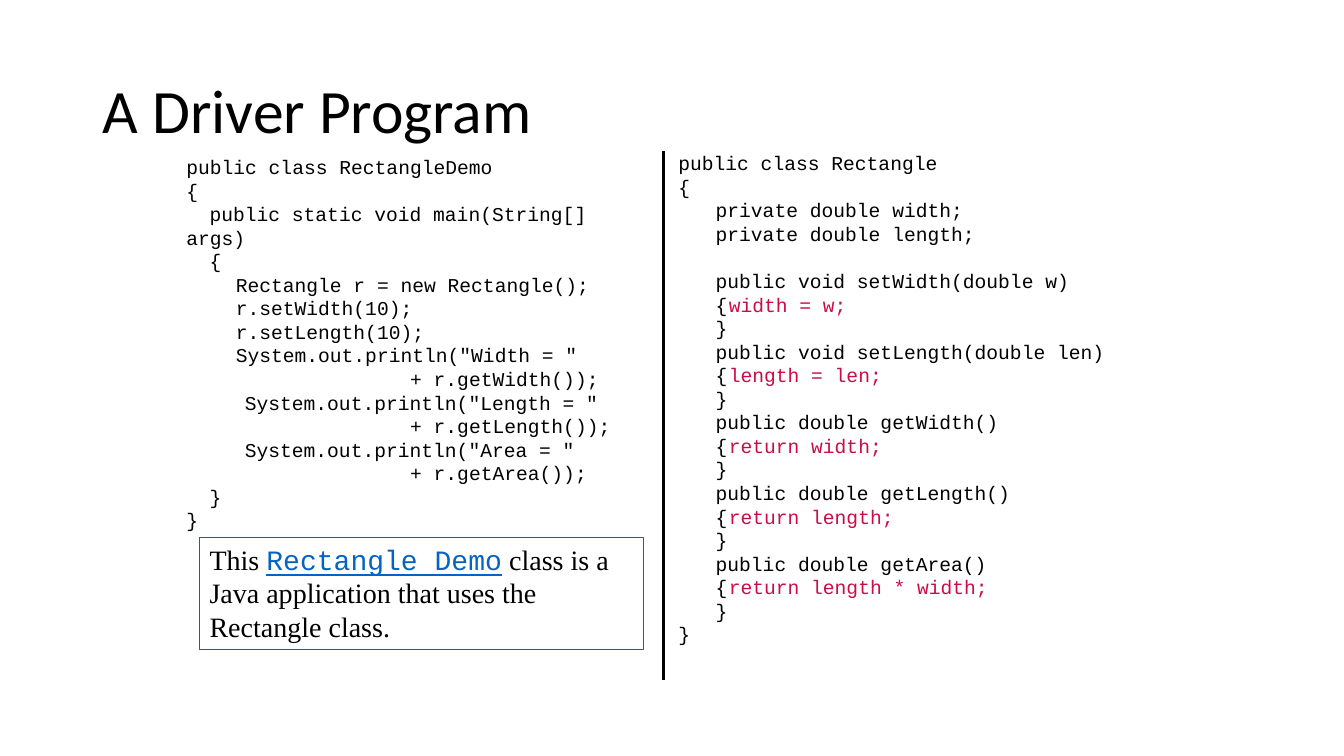
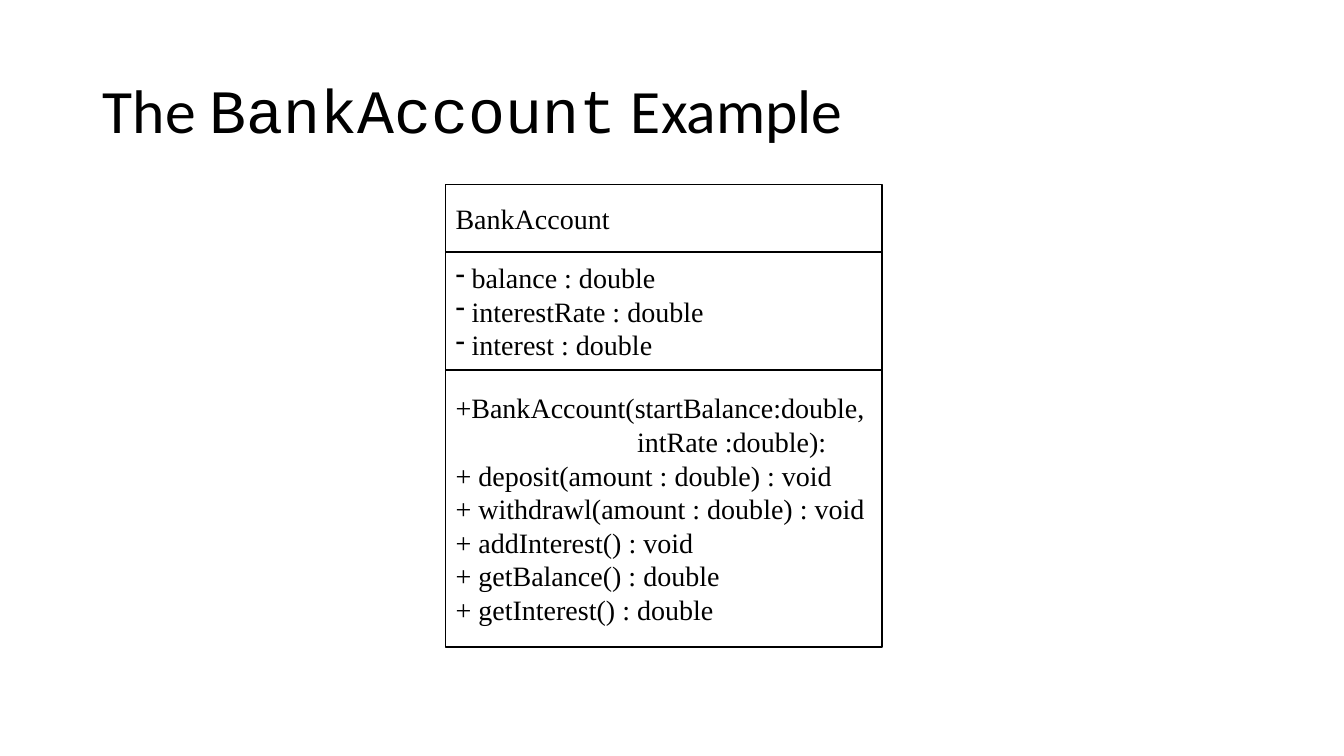
"""Builds two slides on Java classes: a driver program and a UML class diagram."""
from lxml import etree
from pptx import Presentation
from pptx.dml.color import RGBColor
from pptx.enum.shapes import MSO_CONNECTOR, MSO_SHAPE
from pptx.enum.text import MSO_ANCHOR, MSO_AUTO_SIZE, PP_ALIGN
from pptx.oxml.ns import qn
from pptx.util import Inches, Pt

RECTANGLE, STRAIGHT = MSO_SHAPE.RECTANGLE, MSO_CONNECTOR.STRAIGHT
MIDDLE, TOP, LEFT = MSO_ANCHOR.MIDDLE, MSO_ANCHOR.TOP, PP_ALIGN.LEFT
FIXED, GROW = MSO_AUTO_SIZE.NONE, MSO_AUTO_SIZE.SHAPE_TO_FIT_TEXT

SANS, MONO, SERIF = "Calibri", "Courier New", "Times New Roman"
BLACK, WHITE, SLATE = "000000", "FFFFFF", "44546A"
CRIMSON, LINK_BLUE = "CA0C48", "0563C1"
TITLE_SIZE, CODE_SIZE, BODY_SIZE = 44, 14, 20

DRIVER_TITLE = [("A Driver Program", SANS)]
ACCOUNT_TITLE = [("The ", SANS), ("BankAccount", MONO), (" Example", SANS)]

DEMO_CODE = [
    (0, "public class RectangleDemo"),
    (0, "{"),
    (0.23, "public static void main(String[] args)"),
    (0.23, "{"),
    (0.49, "Rectangle r = new Rectangle();"),
    (0.49, "r.setWidth(10);"),
    (0.49, "r.setLength(10);"),
    (0.49, 'System.out.println("Width = "'),
    (2.22, "+ r.getWidth());"),
    (0.58, 'System.out.println("Length = "'),
    (2.22, "+ r.getLength());"),
    (0.58, 'System.out.println("Area = "'),
    (2.22, "+ r.getArea());"),
    (0.23, "}"),
    (0, "}"),
]
RECTANGLE_FIELDS = ["private double width;", "private double length;"]
RECTANGLE_METHODS = [
    ("public void setWidth(double w)", "width = w;"),
    ("public void setLength(double len)", "length = len;"),
    ("public double getWidth()", "return width;"),
    ("public double getLength()", "return length;"),
    ("public double getArea()", "return length * width;"),
]
MEMBER_INDENT, BODY_TAB = 0.37, 1.0
NOTE = [
    ("This ", SERIF, BLACK),
    ("Rectangle Demo", MONO, LINK_BLUE),
    (" class is a Java application that uses the Rectangle class.", SERIF, BLACK),
]

ACCOUNT_SECTIONS = [
    (0.67, False, [(0, "BankAccount")]),
    (1.17, True, [(0, "balance : double"), (0, "interestRate : double"),
                  (0, "interest : double")]),
    (2.75, False, [
        (0, "+BankAccount(startBalance:double,"),
        (1.8, "intRate :double):"),
        (0, "+ deposit(amount : double) : void"),
        (0, "+ withdrawl(amount : double) : void"),
        (0, "+ addInterest() : void"),
        (0, "+ getBalance() : double"),
        (0, "+ getInterest() : double"),
    ]),
]


def rgb(color):
    """Turns a hex string into a colour."""
    return RGBColor.from_string(color)


def add_run(paragraph, text, font, size, color=BLACK):
    """Appends formatted text to a paragraph."""
    run = paragraph.add_run()
    run.text = text
    run.font.name, run.font.size = font, Pt(size)
    run.font.color.rgb = rgb(color)
    return run


def indent(paragraph, first, margin=0):
    """Sets the first-line indent and left margin."""
    properties = paragraph._p.get_or_add_pPr()
    properties.set("marL", str(Inches(margin)))
    properties.set("indent", str(Inches(first)))
    return properties


def add_dash(paragraph):
    """Gives a paragraph a hanging dash bullet."""
    properties = indent(paragraph, -0.16, 0.16)
    etree.SubElement(properties, qn("a:buChar")).set("char", "-")


def add_tab(paragraph, position):
    """Gives a paragraph one tab stop."""
    tabs = etree.SubElement(paragraph._p.get_or_add_pPr(), qn("a:tabLst"))
    stop = etree.SubElement(tabs, qn("a:tab"))
    stop.set("pos", str(Inches(position)))
    stop.set("algn", "l")


def write_lines(frame, lines, font, size):
    """Fills a frame with one paragraph for each (indent, runs) line."""
    for number, (first, runs) in enumerate(lines):
        paragraph = frame.add_paragraph() if number else frame.paragraphs[0]
        paragraph.alignment = LEFT
        indent(paragraph, first)
        for text, color in runs:
            add_run(paragraph, text, font, size, color)


def plain(lines):
    """Makes every line a single black run."""
    return [(first, [(text, BLACK)]) for first, text in lines]


def rectangle_code():
    """Lays out the fields and methods of the Rectangle class."""
    members = [(MEMBER_INDENT, [(field, BLACK)]) for field in RECTANGLE_FIELDS]
    for signature, body in RECTANGLE_METHODS:
        members += [(MEMBER_INDENT, runs) for runs in (
            [(signature, BLACK)], [("{\t", BLACK), (body, CRIMSON)], [("}", BLACK)])]
    return plain([(0, "public class Rectangle"), (0, "{")]) + members + plain([(0, "}")])


def add_titled_slide(deck, title_runs):
    """Adds a title-only slide with the shared title style."""
    slide = deck.slides.add_slide(deck.slide_layouts[5])
    title = slide.shapes.title
    title.left, title.top = Inches(0.92), Inches(0.4)
    title.width, title.height = Inches(11.5), Inches(1.45)
    frame = title.text_frame
    frame.vertical_anchor, frame.auto_size = MIDDLE, FIXED
    heading = frame.paragraphs[0]
    heading.alignment, heading.line_spacing = LEFT, 0.9
    for text, font in title_runs:
        add_run(heading, text, font, TITLE_SIZE)
    return slide


def add_code(slide, left, top, width, height, lines):
    """Adds a code listing and returns its paragraphs."""
    listing = slide.shapes.add_textbox(Inches(left), Inches(top), Inches(width), Inches(height))
    frame = listing.text_frame
    frame.word_wrap, frame.auto_size = True, GROW
    write_lines(frame, lines, MONO, CODE_SIZE)
    return frame.paragraphs


def add_box(shapes, left, top, width, height, line_color, line_width, fill=None):
    """Adds an outlined rectangle without a shadow."""
    box = shapes.add_shape(RECTANGLE, Inches(left), Inches(top), Inches(width), Inches(height))
    box.shadow.inherit = False
    if fill:
        box.fill.solid()
        box.fill.fore_color.rgb = rgb(fill)
    else:
        box.fill.background()
    box.line.color.rgb, box.line.width = rgb(line_color), Pt(line_width)
    return box


def build_driver(deck):
    """Builds the two code listings, their divider and the note."""
    slide = add_titled_slide(deck, DRIVER_TITLE)
    add_code(slide, 1.75, 1.49, 4.87, 3.64, plain(DEMO_CODE))

    frame = add_box(slide.shapes, 1.98, 5.33, 4.4, 1.11, SLATE, 0.75).text_frame
    frame.word_wrap, frame.auto_size, frame.vertical_anchor = True, GROW, TOP
    frame.paragraphs[0].alignment = LEFT
    for text, font, color in NOTE:
        run = add_run(frame.paragraphs[0], text, font, BODY_SIZE, color)
        run.font.underline = color == LINK_BLUE

    divider = slide.shapes.add_connector(
        STRAIGHT, Inches(6.58), Inches(1.5), Inches(6.58), Inches(6.75))
    divider.line.color.rgb, divider.line.width = rgb(BLACK), Pt(2)
    etree.SubElement(divider._element.spPr, qn("a:effectLst"))

    paragraphs = add_code(slide, 6.63, 1.45, 5.03, 5.28, rectangle_code())
    for paragraph in paragraphs:
        if paragraph.text == RECTANGLE_METHODS[0][0]:
            paragraph.space_before = Pt(17)
        if "\t" in paragraph.text:
            add_tab(paragraph, BODY_TAB)


def build_account(deck):
    """Builds the class diagram as stacked sections."""
    slide = add_titled_slide(deck, ACCOUNT_TITLE)
    diagram = slide.shapes.add_group_shape()
    top = 1.83
    for height, dashed, lines in ACCOUNT_SECTIONS:
        section = add_box(diagram.shapes, 4.42, top, 4.33, height, BLACK, 1, WHITE)
        frame = section.text_frame
        frame.word_wrap, frame.vertical_anchor = False, MIDDLE
        write_lines(frame, plain(lines), SERIF, BODY_SIZE)
        if dashed:
            for paragraph in frame.paragraphs:
                add_dash(paragraph)
        top += height


def main():
    """Builds and saves the deck."""
    deck = Presentation()
    deck.slide_width, deck.slide_height = Inches(13.33), Inches(7.5)
    build_driver(deck)
    build_account(deck)
    deck.save("out.pptx")


if __name__ == "__main__":
    main()
